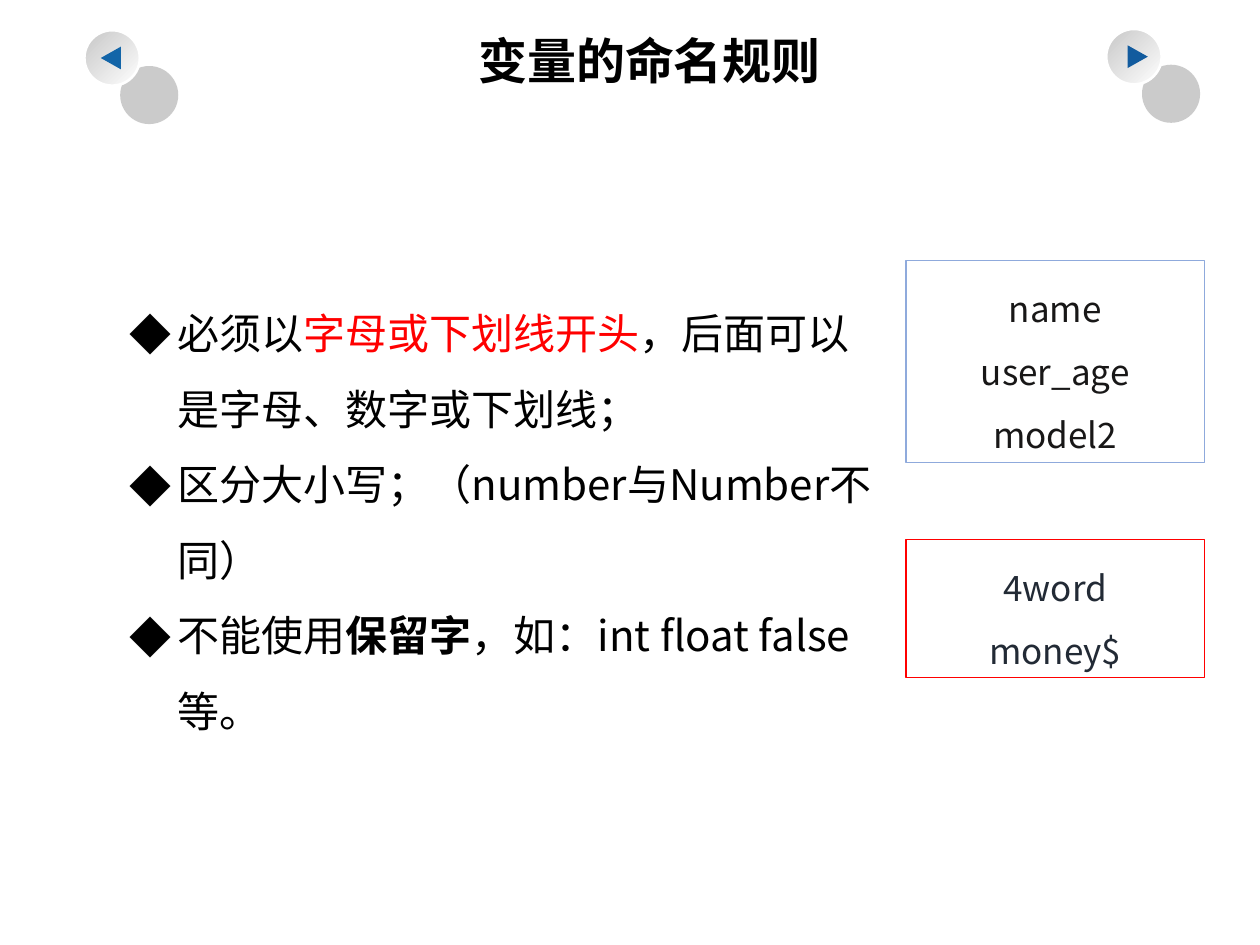
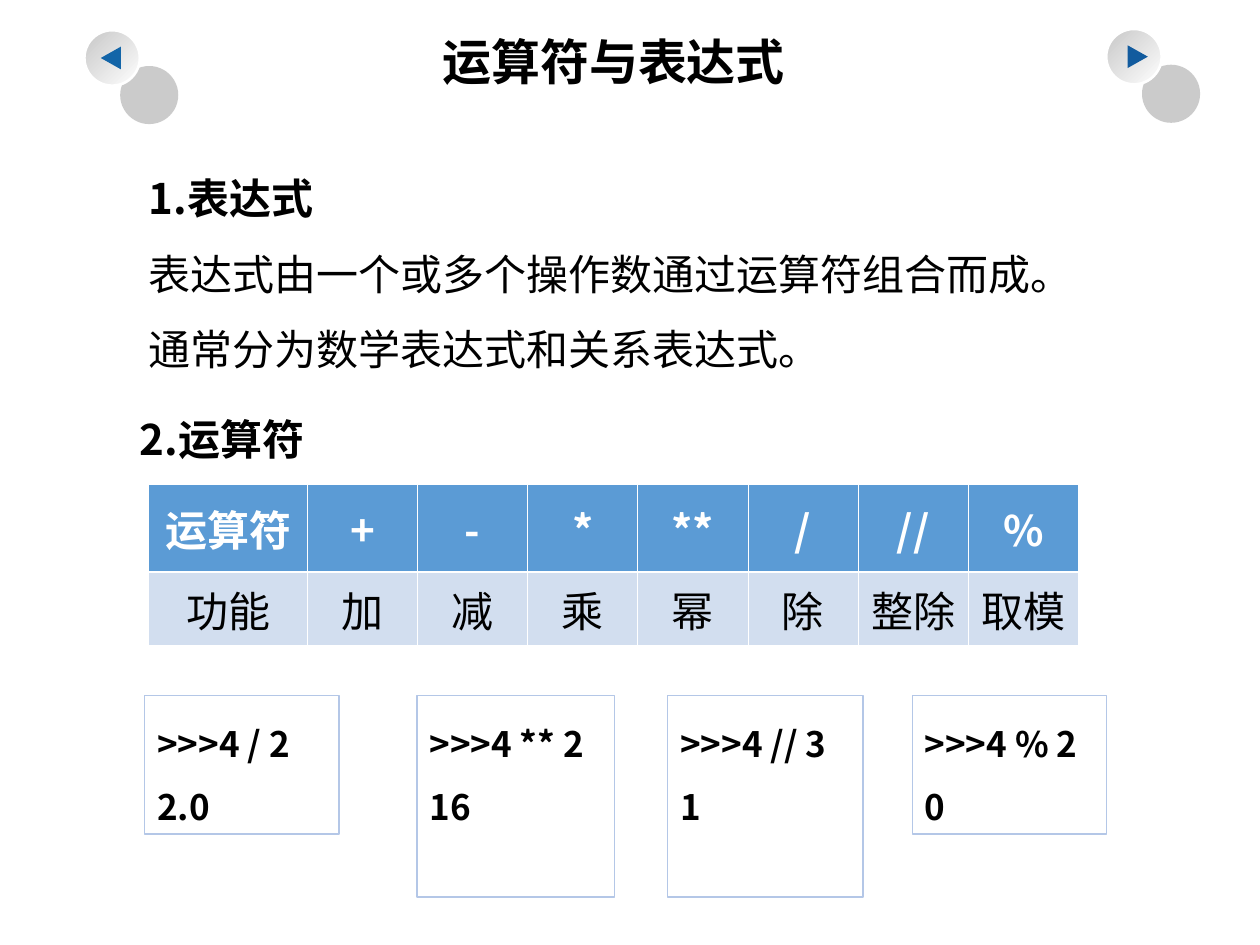
from lxml import etree
from pptx import Presentation
from pptx.dml.color import RGBColor
from pptx.enum.shapes import MSO_SHAPE
from pptx.enum.text import MSO_ANCHOR, MSO_AUTO_SIZE, PP_ALIGN
from pptx.oxml.ns import qn
from pptx.util import Emu, Inches, Pt

WIDTH, HEIGHT = Inches(10), Inches(7.5)
UNIT = WIDTH / 100
FONT = "Noto Sans CJK SC"
CENTER, LEFT = PP_ALIGN.CENTER, PP_ALIGN.LEFT
TOP, MIDDLE = MSO_ANCHOR.TOP, MSO_ANCHOR.MIDDLE
NO_FIT = MSO_AUTO_SIZE.NONE
RECTANGLE, CIRCLE = MSO_SHAPE.RECTANGLE, MSO_SHAPE.OVAL
TRIANGLE = MSO_SHAPE.ISOSCELES_TRIANGLE
TITLE_AND_BODY = 1
HANGING = 3.8

COLORS = {
    "text": "000000",
    "white": "FFFFFF",
    "red": "FF0000",
    "valid_text": "181717",
    "valid_line": "8FAADC",
    "invalid_text": "222A35",
    "code_line": "B4C7E7",
    "header": "5B9BD5",
    "row": "D2DEEF",
    "button": "C7C7C7",
    "shadow": "7F7F7F",
    "next": "125B9E",
    "previous": "1365A8",
}


def color(name):
    """Return the named colour."""
    return RGBColor.from_string(COLORS[name])


def share(*values):
    """Turn hundredths of the slide's width into lengths."""
    return [Emu(round(value * UNIT)) for value in values]


def place(shape, area):
    """Move and size a shape."""
    shape.left, shape.top, shape.width, shape.height = share(*area)


def add_child(parent, tag, **attributes):
    """Append a drawing element with its attributes."""
    return etree.SubElement(parent, qn(tag), attributes)


def set_bullet(para, bullet):
    """Give a paragraph a hanging bullet, or none at the left edge."""
    properties = para._p.get_or_add_pPr()
    indent = share(HANGING)[0] if bullet else 0
    properties.set("marL", str(indent))
    properties.set("indent", str(-indent))
    if bullet:
        tint = add_child(properties, "a:buClr")
        add_child(tint, "a:srgbClr", val=COLORS["text"])
        add_child(properties, "a:buFont", typeface=FONT)
        add_child(properties, "a:buChar", char=bullet)
    else:
        add_child(properties, "a:buNone")


def write(frame, lines, size=24, tint="text", bold=False, align=LEFT,
          spacing=1.5, bullet=None):
    """Fill a text frame; a line is a string or a list of (text, format) spans."""
    for number, line in enumerate(lines):
        para = frame.add_paragraph() if number else frame.paragraphs[0]
        set_bullet(para, bullet)
        para.alignment, para.line_spacing = align, spacing
        para.space_before = para.space_after = Pt(0)
        spans = [(line, {})] if isinstance(line, str) else line
        for text, changes in spans:
            span = para.add_run()
            span.text = text
            span.font.name, span.font.size = FONT, Pt(size)
            span.font.bold = changes.get("bold", bold)
            span.font.color.rgb = color(changes.get("tint", tint))


def write_box(box, area, lines, **style):
    """Place a text-bearing shape and write in it from the top."""
    place(box, area)
    frame = box.text_frame
    frame.word_wrap, frame.auto_size = True, NO_FIT
    frame.vertical_anchor = TOP
    write(frame, lines, **style)


def add_framed_box(slide, area, lines, line_color, **style):
    """Add an unfilled rectangle with a thin outline and text."""
    box = slide.shapes.add_shape(RECTANGLE, *share(*area))
    box.shadow.inherit = False
    box.fill.background()
    box.line.color.rgb, box.line.width = color(line_color), Pt(0.75)
    write_box(box, area, lines, size=20, **style)


def add_button(slide, left, top, arrow_left, arrow_color, rotation):
    """Add a round navigation button with its offset shadow and arrow."""
    group = slide.shapes.add_group_shape()
    disc = group.shapes.add_shape(CIRCLE, *share(left, top, 4.4, 4.4))
    disc.fill.gradient()
    disc.fill.gradient_angle = 135
    for stop, position, name in zip(disc.fill.gradient_stops, (0, 1),
                                    ("white", "button")):
        stop.position, stop.color.rgb = position, color(name)
    disc.line.color.rgb, disc.line.width = color("white"), Pt(1.5)
    disc.shadow.inherit = False
    effects = disc.element.spPr.find(qn("a:effectLst"))
    shadow = add_child(effects, "a:outerShdw", blurRad="0", dist=str(Pt(30)),
                       dir=str(45 * 60000), algn="ctr", rotWithShape="0")
    tint = add_child(shadow, "a:srgbClr", val=COLORS["shadow"])
    add_child(tint, "a:alpha", val="40000")
    arrow = group.shapes.add_shape(TRIANGLE, *share(arrow_left, top + 1.4, 1.8, 1.6))
    arrow.rotation = rotation
    arrow.shadow.inherit = False
    arrow.fill.solid()
    arrow.fill.fore_color.rgb = color(arrow_color)
    arrow.line.fill.background()


def add_slide(deck, title, title_area, body_area, lines, **body_style):
    """Add a slide with its buttons, title and body text."""
    slide = deck.slides.add_slide(deck.slide_layouts[TITLE_AND_BODY])
    add_button(slide, 87.8, 2.3, 89.4, "next", 90)
    add_button(slide, 6.7, 2.4, 7.9, "previous", 270)
    heading, body = slide.placeholders
    write_box(heading, title_area, [title], size=28, bold=True,
              align=CENTER, spacing=1.0)
    write_box(body, body_area, lines, **body_style)
    return slide


def add_borders(cell, top, bottom):
    """Draw a cell's white borders, thin at the sides."""
    properties = cell._tc.get_or_add_tcPr()
    for side, width in (("L", 0.45), ("R", 0.45), ("T", top), ("B", bottom)):
        line = add_child(properties, "a:ln" + side, w=str(Pt(width)))
        fill = add_child(line, "a:solidFill")
        add_child(fill, "a:srgbClr", val=COLORS["white"])


def add_operator_table(slide, area, rows, heights, first_width):
    """Add a table with a header row, a wide first column and equal others."""
    table = slide.shapes.add_table(len(rows), len(rows[0]), *share(*area)).table
    other_width = (area[2] - first_width) / (len(rows[0]) - 1)
    for number, column in enumerate(table.columns):
        column.width = share(other_width if number else first_width)[0]
    looks = (("header", "white", True, 0.45, 1.47),
             ("row", "text", False, 1.47, 0.45))
    for row, height, texts, look in zip(table.rows, heights, rows, looks):
        fill, tint, bold, top, bottom = look
        row.height = share(height)[0]
        for cell, text in zip(row.cells, texts):
            add_borders(cell, top, bottom)
            cell.fill.solid()
            cell.fill.fore_color.rgb = color(fill)
            cell.vertical_anchor = MIDDLE
            write(cell.text_frame, [text], tint=tint, bold=bold,
                  align=CENTER, spacing=1.0)


def set_east_asian_font(slide):
    """Use the deck's font for Chinese text as well."""
    for properties in slide.element.iter(qn("a:rPr")):
        add_child(properties, "a:ea", typeface=FONT)


def build_naming_slide(deck):
    """Build the slide on naming rules for variables."""
    rules = [
        [("必须以", {}), ("字母或下划线开头", {"tint": "red"}),
         ("，后面可以是字母、数字或下划线；", {})],
        "区分大小写；（number与Number不同）",
        [("不能使用", {}), ("保留字", {"bold": True}),
         ("，如：int float false等。", {})],
    ]
    slide = add_slide(deck, "变量的命名规则", (28.9, 1.9, 45.3, 5.7),
                      (9.3, 21.9, 61.3, 37), rules, bullet="◆")
    add_framed_box(slide, (71.9, 20.7, 23.7, 16), ["name", "user_age", "model2"],
                   "valid_line", tint="valid_text", align=CENTER)
    add_framed_box(slide, (71.9, 42.8, 23.7, 11), ["4word", "money$"],
                   "red", tint="invalid_text", align=CENTER)
    return slide


def build_operator_slide(deck):
    """Build the slide on operators and expressions."""
    lines = [
        [("1.表达式", {"bold": True})],
        "表达式由一个或多个操作数通过运算符组合而成。",
        "通常分为数学表达式和关系表达式。",
    ]
    slide = add_slide(deck, "运算符与表达式", (26, 2, 45.4, 5.7),
                      (10.8, 11.2, 88, 19), lines)
    area = (10.1, 30.3, 16.8, 7)
    heading = slide.shapes.add_textbox(*share(*area))
    write_box(heading, area, ["2.运算符"], bold=True)
    rows = (("运算符", "+", "-", "*", "**", "/", "//", "%"),
            ("功能", "加", "减", "乘", "幂", "除", "整除", "取模"))
    add_operator_table(slide, (11.8, 38.4, 73.8, 12), rows, (7, 5), 12.6)
    examples = ((11.5, 15.4, 11, ">>>4 / 2", "2.0"),
                (33.1, 15.7, 16, ">>>4 ** 2", "16"),
                (53, 15.5, 16, ">>>4 // 3", "1"),
                (72.4, 15.4, 11, ">>>4 % 2", "0"))
    for left, width, height, code, result in examples:
        add_framed_box(slide, (left, 55.2, width, height), [code, result],
                       "code_line", bold=True)
    return slide


def main():
    """Build and save the deck."""
    deck = Presentation()
    deck.slide_width, deck.slide_height = WIDTH, HEIGHT
    for build in (build_naming_slide, build_operator_slide):
        set_east_asian_font(build(deck))
    deck.save("out.pptx")


if __name__ == "__main__":
    main()
